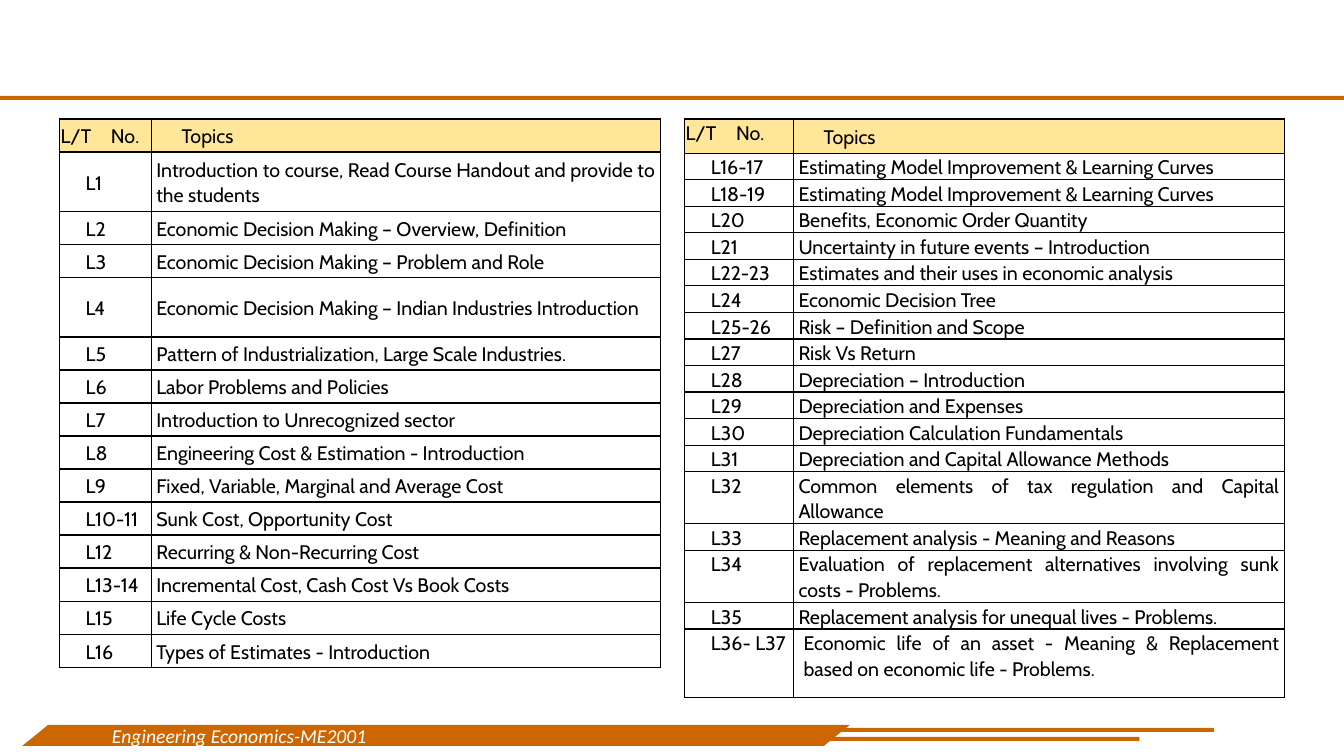
from pptx import Presentation
from pptx import util as u
from pptx.dml.color import RGBColor
from pptx.enum import shapes, text
from pptx.oxml import parse_xml
from pptx.oxml.ns import nsdecls

ORANGE = RGBColor(0xCC, 0x66, 0x00)
HEADER = RGBColor(0xFF, 0xE6, 0x99)
WHITE = RGBColor(0xFF, 0xFF, 0xFF)
BLACK = RGBColor(0x00, 0x00, 0x00)
WIDTH, HEIGHT = u.Inches(13.33), u.Inches(7.5)
TABLE_TOP = 15.73
LECTURE_INDENT = 0.25

FIRST_HALF = [
    ("L1", "Introduction to course, Read Course Handout and provide to the students"),
    ("L2", "Economic Decision Making – Overview, Definition"),
    ("L3", "Economic Decision Making – Problem and Role"),
    ("L4", "Economic Decision Making – Indian Industries Introduction"),
    ("L5", "Pattern of Industrialization, Large Scale Industries."),
    ("L6", "Labor Problems and Policies"),
    ("L7", "Introduction to Unrecognized sector"),
    ("L8", "Engineering Cost & Estimation - Introduction"),
    ("L9", "Fixed, Variable, Marginal and Average Cost"),
    ("L10-11", "Sunk Cost, Opportunity Cost"),
    ("L12", "Recurring & Non-Recurring Cost"),
    ("L13-14", "Incremental Cost, Cash Cost Vs Book Costs"),
    ("L15", "Life Cycle Costs"),
    ("L16", "Types of Estimates - Introduction"),
]
SECOND_HALF = [
    ("L16-17", "Estimating Model Improvement & Learning Curves"),
    ("L18-19", "Estimating Model Improvement & Learning Curves"),
    ("L20", "Benefits, Economic Order Quantity"),
    ("L21", "Uncertainty in future events – Introduction"),
    ("L22-23", "Estimates and their uses in economic analysis"),
    ("L24", "Economic Decision Tree"),
    ("L25-26", "Risk – Definition and Scope"),
    ("L27", "Risk Vs Return"),
    ("L28", "Depreciation – Introduction"),
    ("L29", "Depreciation and Expenses"),
    ("L30", "Depreciation Calculation Fundamentals"),
    ("L31", "Depreciation and Capital Allowance Methods"),
    ("L32", "Common elements of tax regulation and Capital Allowance"),
    ("L33", "Replacement analysis - Meaning and Reasons"),
    ("L34", "Evaluation of replacement alternatives involving sunk costs - Problems."),
    ("L35", "Replacement analysis for unequal lives - Problems."),
    ("L36- L37", "Economic life of an asset - Meaning & Replacement based on economic life - Problems."),
]


def across(percent):
    """Return a share of the slide width."""
    return round(WIDTH * percent / 100)


def down(percent):
    """Return a share of the slide height."""
    return round(HEIGHT * percent / 100)


def add_band(slide, left, top, width, height=0.53, kind=shapes.MSO_SHAPE.RECTANGLE):
    """Add a plain orange band."""
    band = slide.shapes.add_shape(kind, across(left), down(top), across(width), down(height))
    band.shadow.inherit = False
    band.fill.solid()
    band.fill.fore_color.rgb = ORANGE
    band.line.fill.background()
    return band


def add_footer(slide, course):
    """Add the slanted footer band with the course name."""
    footer = add_band(slide, 1.65, 95.87, 61.59, 2.8, shapes.MSO_SHAPE.PARALLELOGRAM)
    footer.adjustments[0] = 1.236
    footer.text_frame.vertical_anchor = text.MSO_ANCHOR.MIDDLE
    paragraph = footer.text_frame.paragraphs[0]
    paragraph.alignment = text.PP_ALIGN.LEFT
    add_words(paragraph, course, "Calibri", WHITE).italic = True


def add_words(paragraph, words, family, color):
    """Add a 14 point run and return its font."""
    run = paragraph.add_run()
    run.text = words
    run.font.name, run.font.size = family, u.Pt(14)
    run.font.color.rgb = color
    return run.font


def add_borders(cell):
    """Draw a thin black line on each side of a cell."""
    properties = cell._tc.get_or_add_tcPr()
    for side in "LRTB":
        properties.append(parse_xml(
            f'<a:ln{side} {nsdecls("a")} w="12700"><a:solidFill>'
            f'<a:srgbClr val="{BLACK}"/></a:solidFill></a:ln{side}>'))


def fill_cell(cell, words, fill, side_margin, indent, anchor):
    """Write and style one table cell."""
    add_borders(cell)
    cell.fill.solid()
    cell.fill.fore_color.rgb = fill
    cell.margin_left = cell.margin_right = u.Inches(side_margin)
    cell.margin_top, cell.margin_bottom = u.Inches(0.01), 0
    cell.vertical_anchor = anchor
    paragraph = cell.text_frame.paragraphs[0]
    properties = paragraph._p.get_or_add_pPr()
    properties.set("marL", str(u.Inches(indent)))
    properties.set("indent", "0")
    if "\t" in words:
        properties.append(parse_xml(
            f'<a:tabLst {nsdecls("a")}><a:tab pos="{u.Inches(0.44)}" algn="l"/></a:tabLst>'))
    paragraph.alignment = text.PP_ALIGN.JUSTIFY
    paragraph.line_spacing = 1.07
    paragraph.space_after = u.Pt(8)
    add_words(paragraph, words, "Cabin", BLACK)


def add_schedule(slide, left, columns, lectures, row_height, taller, anchor, last_indent=0):
    """Add a lecture table; taller maps row numbers to other heights."""
    rows = [("L/T\tNo.", "Topics")] + lectures
    heights = [taller.get(number, row_height) for number in range(len(rows))]
    table = slide.shapes.add_table(len(rows), 2, across(left), down(TABLE_TOP),
                                   across(sum(columns)), down(sum(heights))).table
    table.first_row = table.horz_banding = False
    for column, width in zip(table.columns, columns):
        column.width = across(width)
    for number, (lecture, topic) in enumerate(rows):
        table.rows[number].height = down(heights[number])
        is_header = number == 0
        fill = HEADER if is_header else WHITE
        lecture_indent = 0 if is_header else LECTURE_INDENT
        topic_indent = LECTURE_INDENT if is_header else 0
        if number == len(lectures):
            topic_indent = last_indent
        topic_anchor = text.MSO_ANCHOR.MIDDLE if is_header else anchor
        fill_cell(table.cell(number, 0), lecture, fill, 0.01, lecture_indent, anchor)
        fill_cell(table.cell(number, 1), topic, fill, 0.05, topic_indent, topic_anchor)


def main():
    """Build the lecture schedule slide."""
    deck = Presentation()
    deck.slide_width, deck.slide_height = WIDTH, HEIGHT
    slide = deck.slides.add_slide(deck.slide_layouts[6])
    add_band(slide, 0, 12.67, 100)
    add_band(slide, 55.96, 96.27, 34.36)
    add_band(slide, 57.76, 97.47, 27.01)
    add_footer(slide, "Engineering Economics-ME2001")
    add_schedule(slide, 4.43, (6.83, 37.88), FIRST_HALF, 4.37,
                 {1: 7.87, 4: 7.87}, text.MSO_ANCHOR.MIDDLE)
    add_schedule(slide, 50.94, (8.1, 36.53), SECOND_HALF, 3.33,
                 {0: 4.53, 13: 6.4, 15: 6.4, 17: 9.07}, text.MSO_ANCHOR.TOP, 0.05)
    deck.save("out.pptx")


if __name__ == "__main__":
    main()
